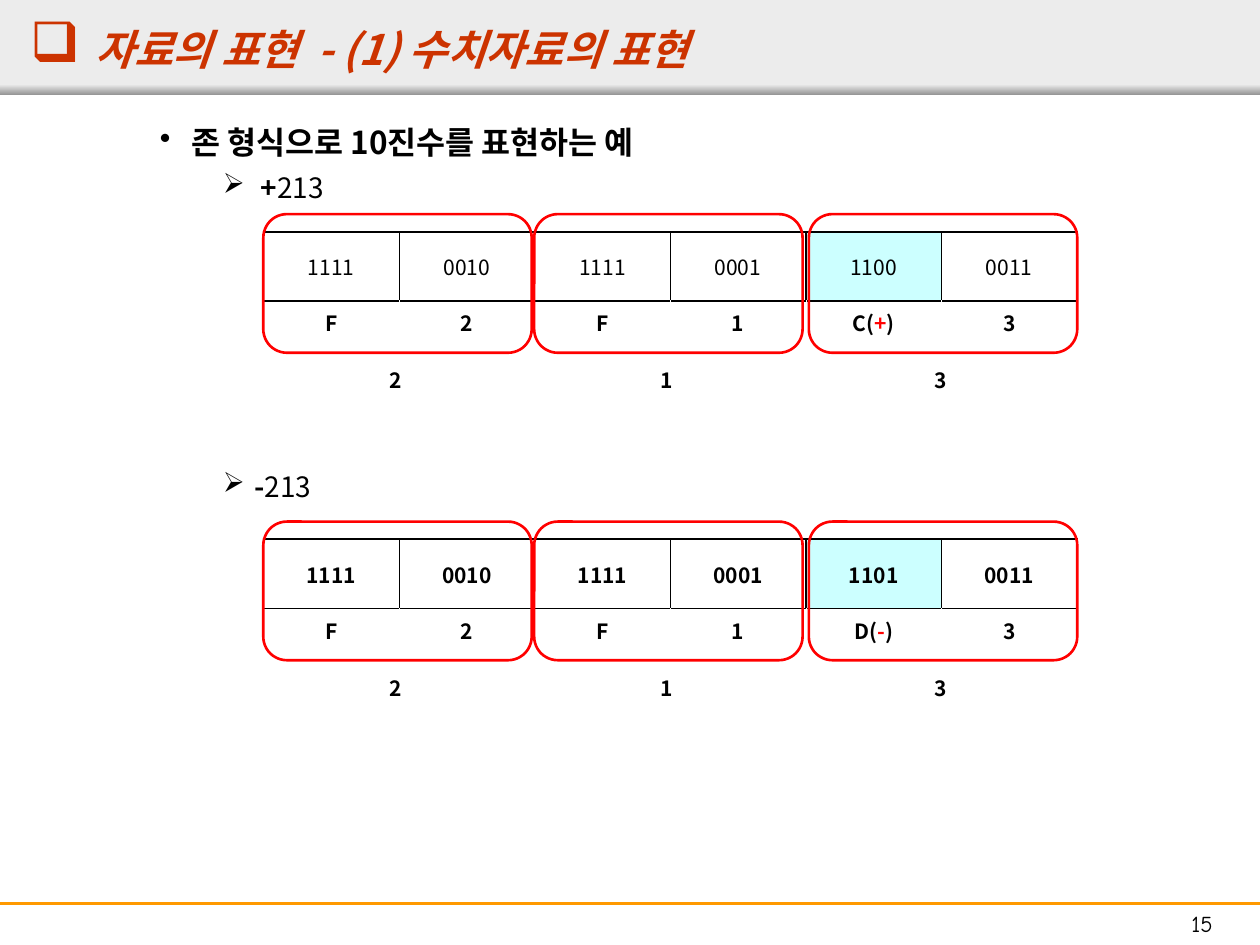
from dataclasses import dataclass
from lxml.etree import SubElement
from pptx import Presentation
from pptx.dml.color import RGBColor
from pptx.enum.shapes import MSO_CONNECTOR as CONN, MSO_SHAPE as SHAPE
from pptx.enum.text import MSO_ANCHOR as ANCHOR, PP_ALIGN as ALIGN
from pptx.oxml.ns import qn
from pptx.slide import Slide
from pptx.util import Inches, Pt

BLACK = RGBColor(0x00, 0x00, 0x00)
WHITE = RGBColor(0xFF, 0xFF, 0xFF)
RED = RGBColor(0xFF, 0x00, 0x00)
RUST = RGBColor(0xCC, 0x33, 0x00)
ORANGE = RGBColor(0xFF, 0x99, 0x00)
CYAN = RGBColor(0xCC, 0xFF, 0xFF)
BAND = RGBColor(0xEC, 0xEC, 0xEC)
SHADE = RGBColor(0x97, 0x97, 0x97)

COLUMNS, ROWS = 100, 75


@dataclass
class Deck:
    s: Slide
    width: int
    height: int
    font: str = "Noto Sans CJK KR"

    def x(self, columns):
        return round(self.width * columns / COLUMNS)

    def y(self, rows):
        return round(self.height * rows / ROWS)

    def area(self, left, top, width, height):
        return self.x(left), self.y(top), self.x(width), self.y(height)

    def run(self, p, text, size, color=BLACK, bold=False, italic=False, font=None):
        r = p.add_run()
        r.text = text
        r.font.size = Pt(size)
        r.font.bold = bold
        r.font.italic = italic
        r.font.color.rgb = color
        r.font.name = font or self.font
        SubElement(r.font._element, qn("a:ea"), typeface=font or self.font)

    def bullet(self, p, char, color, margin, hang, percent=100):
        pPr = p._p.get_or_add_pPr()
        pPr.set("marL", str(Inches(margin)))
        pPr.set("indent", str(-Inches(hang)))
        clr = SubElement(pPr, qn("a:buClr"))
        SubElement(clr, qn("a:srgbClr"), val=str(color))
        SubElement(pPr, qn("a:buSzPct"), val=str(percent * 1000))
        SubElement(pPr, qn("a:buChar"), char=char)

    def text(self, box, inset=0.05, wrap=True):
        tf = self.s.shapes.add_textbox(*self.area(*box)).text_frame
        tf.word_wrap = wrap
        tf.margin_top = Inches(inset)
        return tf

    def label(self, box, text, size, wrap=False, **style):
        p = self.text(box, wrap=wrap).paragraphs[0]
        p.alignment = ALIGN.CENTER
        self.run(p, text, size, **style)

    def shape(self, kind, box):
        sp = self.s.shapes.add_shape(kind, *self.area(*box))
        sp.shadow.inherit = False
        return sp

    def band(self, box, top_color, bottom_color):
        sp = self.shape(SHAPE.RECTANGLE, box)
        sp.line.fill.background()
        if top_color == bottom_color:
            sp.fill.solid()
            sp.fill.fore_color.rgb = top_color
            return
        sp.fill.gradient()
        sp.fill.gradient_angle = 270
        for stop, color in zip(sp.fill.gradient_stops, (top_color, bottom_color)):
            stop.color.rgb = color

    def frame(self, box):
        sp = self.shape(SHAPE.ROUNDED_RECTANGLE, box)
        sp.adjustments[0] = 0.17
        sp.fill.background()
        sp.line.color.rgb = RED
        sp.line.width = Pt(1.5)

    def rule(self, row, color):
        c = self.s.shapes.add_connector(
            CONN.STRAIGHT, 0, self.y(row), self.width, self.y(row))
        c.line.color.rgb = color
        c.line.width = Pt(1.5)
        SubElement(c._element.spPr, qn("a:effectLst"))

    def border(self, cell, side, color, weight):
        tcPr = cell._tc.get_or_add_tcPr()
        ln = SubElement(tcPr, qn(f"a:ln{side}"), w=str(Pt(weight)))
        if color is None:
            SubElement(ln, qn("a:noFill"))
        else:
            fill = SubElement(ln, qn("a:solidFill"))
            SubElement(fill, qn("a:srgbClr"), val=str(color))

    def cell(self, cell, parts, bold, borders, fill=None):
        for side, color, weight in borders:
            self.border(cell, side, color, weight)
        if fill is None:
            cell.fill.background()
        else:
            cell.fill.solid()
            cell.fill.fore_color.rgb = fill
        cell.vertical_anchor = ANCHOR.MIDDLE
        p = cell.text_frame.paragraphs[0]
        p.alignment = ALIGN.CENTER
        for part in parts:
            self.run(p, part, 12, RED if part in "+-" else BLACK, bold)

    def table(self, box, bits, digits, bold_bits):
        gf = self.s.shapes.add_table(2, len(bits), *self.area(*box))
        t = gf.table
        t.first_row = t.horz_banding = False
        t.rows[0].height, t.rows[1].height = self.y(5.5), self.y(3)
        for i, (bit, digit) in enumerate(zip(bits, digits)):
            left, right = (0.06, 1.08) if i % 2 else (1.08, 0.06)
            self.cell(t.cell(0, i), [bit], bold_bits,
                      [("L", BLACK, left), ("R", BLACK, right),
                       ("T", BLACK, 1.08), ("B", BLACK, 1.08)],
                      CYAN if i == 4 else None)
            self.cell(t.cell(1, i), digit, True,
                      [("L", WHITE, 0.45), ("R", WHITE, 0.45),
                       ("T", BLACK, 1.08), ("B", None, 0.45)])

    def zoned_number(self, top, sign_bits, sign, bold_bits):
        bits = ["1111", "0010", "1111", "0001", sign_bits, "0011"]
        self.table((20.9, top, 64.6, 8.5), bits, ["F", "2", "F", "1", sign, "3"], bold_bits)
        for left, digit in zip((20.9, 42.4, 64.2), "213"):
            self.frame((left, top - 1.4, 21.3, 11))
            self.label((left + 9, top + 10.3, 2.9, 3.4), digit, 12, bold=True)


def main():
    prs = Presentation()
    prs.slide_width, prs.slide_height = Inches(10), Inches(7.5)
    s = prs.slides.add_slide(prs.slide_layouts[6])
    d = Deck(s, prs.slide_width, prs.slide_height)

    d.band((0, 0, 100, 7.5), BAND, BAND)
    d.band((0, 6.7, 100, 0.8), BAND, SHADE)
    d.rule(71.7, ORANGE)
    d.label((90.8, 71.7, 9.2, 3.2), "15", 13, wrap=True, font="Comic Neue")

    p = d.text((1.4, 1.9, 90, 5.2), inset=0).paragraphs[0]
    d.bullet(p, "❑", RUST, 0.52, 0.52, 133)
    d.run(p, "자료의 표현  - (1) 수치자료의 표현", 24, RUST, bold=True, italic=True)

    tf = d.text((1.7, 9, 94.5, 61.8))
    p = tf.paragraphs[0]
    p.line_spacing, p.space_after = 1.1, Pt(8)
    d.bullet(p, "•", BLACK, 1.25, 0.25)
    d.run(p, "존 형식으로 10진수를 표현하는 예", 18, bold=True)
    for sign, margin, hang, before in (("+", 1.8, 0.3, 1), ("-", 1.75, 0.25, 155.5)):
        p = tf.add_paragraph()
        p.line_spacing, p.space_before = 0.8, Pt(before)
        d.bullet(p, "➢", BLACK, margin, hang)
        d.run(p, sign, 16, bold=True)
        d.run(p, "213", 16)

    d.zoned_number(18.4, "1100", ["C(", "+", ")"], False)
    d.zoned_number(42.8, "1101", ["D(", "-", ")"], True)

    prs.save("out.pptx")


if __name__ == "__main__":
    main()
